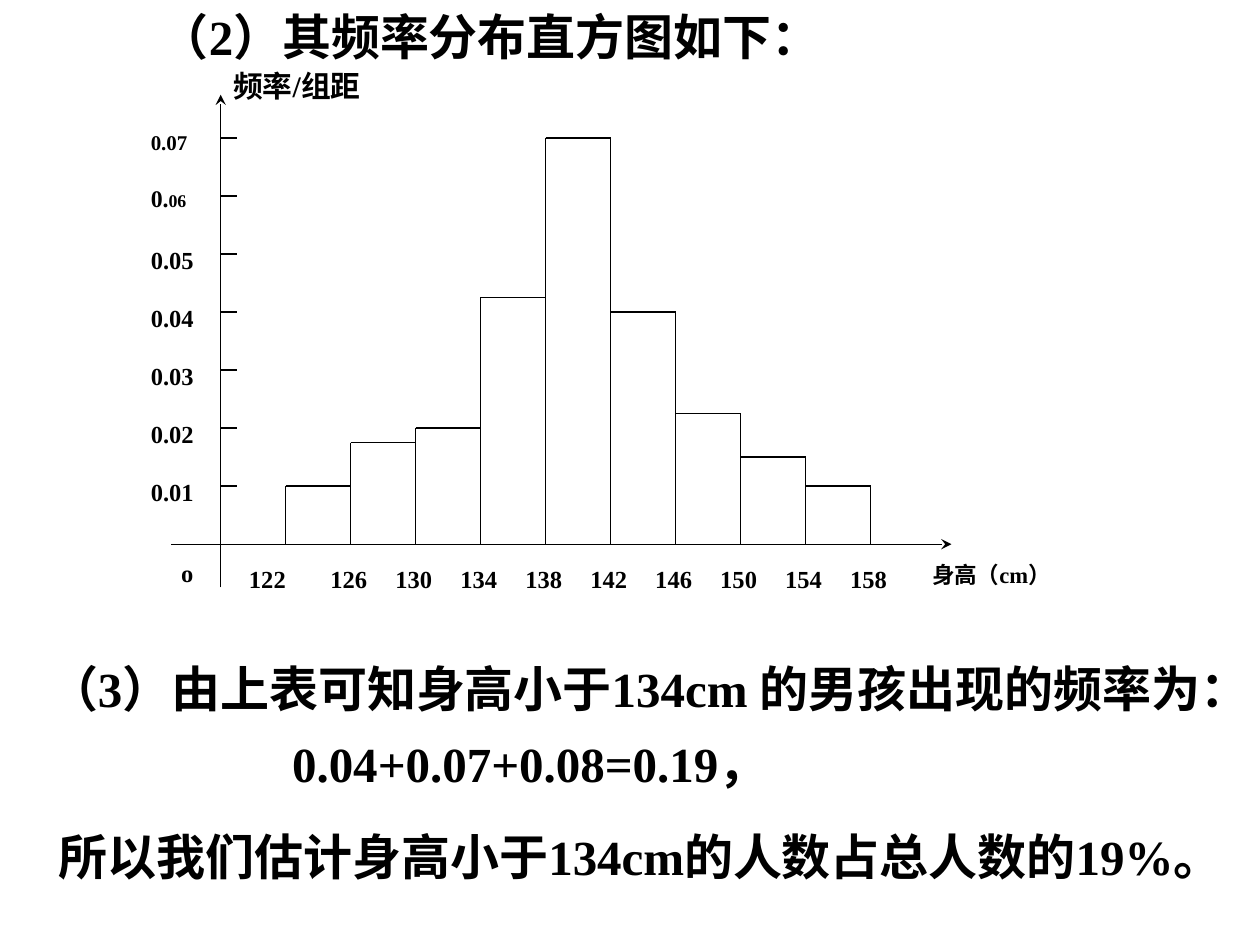
"""Build a slide with a frequency histogram of heights and the estimate drawn from it."""
from lxml.etree import SubElement
from pptx import Presentation
from pptx.dml.color import RGBColor
from pptx.enum.shapes import MSO_CONNECTOR as Connector
from pptx.enum.text import MSO_ANCHOR as Anchor, MSO_AUTO_SIZE as AutoSize, PP_ALIGN as Align
from pptx.oxml.ns import qn
from pptx.util import Cm, Pt

COLORS = {"ink": "000000"}
FONT = "Times New Roman"
HEADING = "（2）其频率分布直方图如下："
STATEMENTS = [
    ("（3）由上表可知身高小于134cm 的男孩出现的频率为：", (0.74, 13.16, 24.1, 2.64)),
    ("0.04+0.07+0.08=0.19，", (5.64, 14.66, 12.6, 1.45)),
    ("所以我们估计身高小于134cm的人数占总人数的19%。", (0.94, 16.54, 24.46, 1.45)),
]
HEIGHTS = ["122", "126", "130", "134", "138", "142", "146", "150", "154", "158"]
DENSITIES = [0.01, 0.0175, 0.02, 0.0425, 0.07, 0.04, 0.0225, 0.015, 0.01]
SCALE = [
    [("0.01", 14)], [("0.02", 14)], [("0.03", 14)], [("0.04", 14)], [("0.05", 14)],
    [("0.", 13.6), ("06", 10.2)], [("0.07", 12)],
]
AXIS_TITLES = [
    ("频率/组距", 17, (4.45, 1.32, 4.6, 1.04)),
    ("身高（cm）", 12.9, (18.54, 11.25, 3.28, 0.89)),
]
ORIGIN_X, ORIGIN_Y = 4.45, 10.97
CLASS_WIDTH, UNIT_HEIGHT, TICK = 1.31, 1.17, 0.32


def ink():
    return RGBColor.from_string(COLORS["ink"])


def write(frame, runs, spacing=None):
    paragraph = frame.paragraphs[0]
    paragraph.alignment = Align.LEFT
    if spacing:
        paragraph.line_spacing = spacing
    for text, size in runs:
        run = paragraph.add_run()
        run.text = text
        run.font.name, run.font.size, run.font.bold = FONT, Pt(size), True
        run.font.color.rgb = ink()


def add_label(shapes, runs, place, spacing=None):
    frame = shapes.add_textbox(*map(Cm, place)).text_frame
    frame.word_wrap = True
    write(frame, runs, spacing)
    return frame


def add_line(shapes, start, end, arrow=False):
    line = shapes.add_connector(Connector.STRAIGHT, *map(Cm, start + end))
    line.line.color.rgb = ink()
    line.line.width = Pt(0.75)
    properties = line._element.spPr
    if arrow:
        SubElement(properties.find(qn("a:ln")), qn("a:tailEnd"), type="stealth")
    SubElement(properties, qn("a:effectLst"))


def level(density):
    return ORIGIN_Y - density * 100 * UNIT_HEIGHT


def add_histogram(shapes):
    add_line(shapes, (3.45, ORIGIN_Y), (19.18, ORIGIN_Y), arrow=True)
    add_line(shapes, (ORIGIN_X, 11.84), (ORIGIN_X, 1.91), arrow=True)
    add_label(shapes, [("o", 14)], (3.4, 11.13, 1.63, 0.89))

    for index, runs in enumerate(SCALE, 1):
        y = level(index / 100)
        add_line(shapes, (ORIGIN_X, y), (ORIGIN_X + TICK, y))
        spacing = 0.9 if len(runs) > 1 else None
        add_label(shapes, runs, (2.79, y - 0.3, 1.96, 0.89), spacing)

    edges = [ORIGIN_X + CLASS_WIDTH * (i + 1) for i in range(len(HEIGHTS))]
    neighbours = zip([0] + DENSITIES, DENSITIES + [0])
    for index, (x, height, sides) in enumerate(zip(edges, HEIGHTS, neighbours)):
        add_line(shapes, (x, level(max(sides))), (x, ORIGIN_Y))
        offset = 0.66 if index else 0.99
        add_label(shapes, [(height, 14)], (x - offset, 11.25, 1.64, 0.89))
    for left, right, density in zip(edges, edges[1:], DENSITIES):
        add_line(shapes, (left, level(density)), (right, level(density)))

    for text, size, place in AXIS_TITLES:
        add_label(shapes, [(text, size)], place, 0.9)


def main():
    deck = Presentation()
    deck.slide_width, deck.slide_height = Cm(25.4), Cm(19.05)
    slide = deck.slides.add_slide(deck.slide_layouts[5])

    title = slide.shapes.title
    title.left, title.top, title.width, title.height = map(Cm, (2.97, 0, 14.3, 1.45))
    title.text_frame.word_wrap = False
    title.text_frame.auto_size = AutoSize.SHAPE_TO_FIT_TEXT
    title.text_frame.vertical_anchor = Anchor.MIDDLE
    write(title.text_frame, [(HEADING, 28)])

    add_histogram(slide.shapes.add_group_shape().shapes)
    for text, place in STATEMENTS:
        statement = add_label(slide.shapes, [(text, 28)], place)
        statement.auto_size = AutoSize.SHAPE_TO_FIT_TEXT

    deck.save("out.pptx")


if __name__ == "__main__":
    main()
